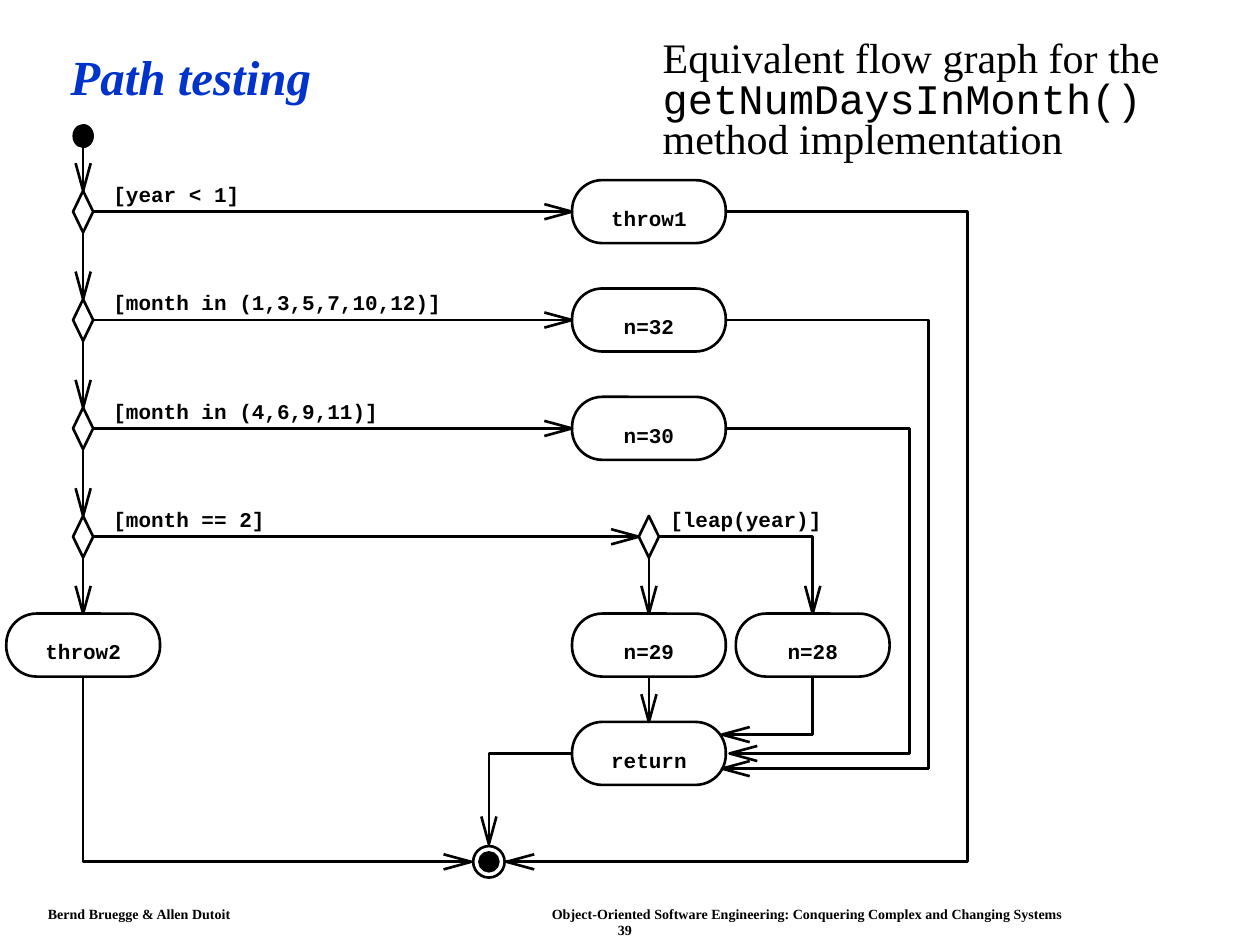
import math

import lxml.etree
import pptx
import pptx.dml.color
import pptx.enum.shapes
import pptx.enum.text
import pptx.oxml.ns
import pptx.util

Inches = pptx.util.Inches
Pt = pptx.util.Pt
MSO_SHAPE = pptx.enum.shapes.MSO_SHAPE
PP_ALIGN = pptx.enum.text.PP_ALIGN
MSO_ANCHOR = pptx.enum.text.MSO_ANCHOR

BLACK = pptx.dml.color.RGBColor(0x00, 0x00, 0x00)
WHITE = pptx.dml.color.RGBColor(0xFF, 0xFF, 0xFF)
TITLE_BLUE = pptx.dml.color.RGBColor(0x00, 0x33, 0xCC)
SERIF = "Times New Roman"
MONO = "Courier New"

TOP, LEFT, BOTTOM, RIGHT = range(4)
ROW_STEP = 0.86
NODE_SIZE = (1.22, 0.5)
DECISION_SIZE = (0.16, 0.33)
HEAD_LENGTH, HEAD_HALF_WIDTH = 0.22, 0.06


def style_font(font, name, size, color=BLACK, bold=False, italic=False):
    font.name, font.size, font.bold, font.italic = name, Pt(size), bold, italic
    font.color.rgb = color


def add_text(slide, box, text, *font, align=PP_ALIGN.LEFT, wrap=False, **style):
    """Add a one-paragraph text box without margins and return its frame."""
    frame = slide.shapes.add_textbox(*map(Inches, box)).text_frame
    frame.margin_left = frame.margin_right = 0
    frame.margin_top = frame.margin_bottom = 0
    frame.word_wrap = wrap
    paragraph = frame.paragraphs[0]
    paragraph.text, paragraph.alignment = text, align
    style_font(paragraph.font, *font, **style)
    return frame


def style_outline(shape, fill=None):
    shape.shadow.inherit = False
    shape.line.color.rgb, shape.line.width = BLACK, Pt(1.5)
    if fill is None:
        shape.fill.background()
    else:
        shape.fill.solid()
        shape.fill.fore_color.rgb = fill


def add_centred(slide, preset, x, y, size, fill=None):
    width, height = size
    shape = slide.shapes.add_shape(
        preset, Inches(x - width / 2), Inches(y - height / 2), Inches(width), Inches(height))
    style_outline(shape, fill)
    return shape


def add_node(slide, x, y, label):
    node = add_centred(slide, MSO_SHAPE.ROUNDED_RECTANGLE, x, y, NODE_SIZE)
    node.adjustments[0] = 0.48
    frame = node.text_frame
    frame.margin_left = frame.margin_right = frame.margin_bottom = 0
    frame.margin_top = Inches(0.1)
    frame.word_wrap = False
    frame.vertical_anchor = MSO_ANCHOR.MIDDLE
    paragraph = frame.paragraphs[0]
    paragraph.text, paragraph.alignment = label, PP_ALIGN.CENTER
    style_font(paragraph.font, MONO, 12, bold=True)
    return node


def add_decision(slide, x, y, guard, guard_offset):
    guard_width = 0.1 * len(guard) + 0.2
    add_text(slide, (x + guard_offset, y - 0.24, guard_width, 0.2),
             guard, MONO, 12, bold=True)
    return add_centred(slide, MSO_SHAPE.DIAMOND, x, y, DECISION_SIZE, WHITE)


def add_polyline(slide, points):
    start, *rest = [(Inches(x), Inches(y)) for x, y in points]
    builder = slide.shapes.build_freeform(*start)
    builder.add_line_segments(rest, close=False)
    style_outline(builder.convert_to_shape())


def add_head(slide, before, tip):
    """Draw the long open arrowhead of a line that runs from before to tip."""
    angle = math.atan2(tip[1] - before[1], tip[0] - before[0])
    along, across = math.cos(angle), math.sin(angle)
    barbs = [(tip[0] - HEAD_LENGTH * along - side * across,
              tip[1] - HEAD_LENGTH * across + side * along)
             for side in (-HEAD_HALF_WIDTH, HEAD_HALF_WIDTH)]
    add_polyline(slide, [barbs[0], tip, barbs[1]])


def add_route(slide, points):
    add_polyline(slide, points)
    add_head(slide, *points[-2:])


def link(slide, source, source_side, target, target_side):
    """Join two shapes with a straight arrow."""
    arrow = slide.shapes.add_connector(pptx.enum.shapes.MSO_CONNECTOR.STRAIGHT, 0, 0, 0, 0)
    arrow.begin_connect(source, source_side)
    arrow.end_connect(target, target_side)
    arrow.line.color.rgb, arrow.line.width = BLACK, Pt(1.5)
    properties = arrow.element.find(pptx.oxml.ns.qn("p:spPr"))
    lxml.etree.SubElement(properties, pptx.oxml.ns.qn("a:effectLst"))
    add_head(slide, (arrow.begin_x.inches, arrow.begin_y.inches),
             (arrow.end_x.inches, arrow.end_y.inches))


def draw_header(slide, box):
    left, top, width, height = box
    title = add_text(slide, (left, top, 4.3, 0.69), "Path testing", SERIF, 28,
                     color=TITLE_BLUE, bold=True, italic=True)
    title.vertical_anchor = MSO_ANCHOR.MIDDLE
    title.paragraphs[0].line_spacing = 0.9

    caption = add_text(slide, (left + 4.7, top + 0.04, width - 4.7, height - 0.04),
                       "Equivalent flow graph for the ", SERIF, 24, wrap=True)
    paragraph = caption.paragraphs[0]
    paragraph.line_spacing, paragraph.space_before = 0.8, Pt(9)
    for words, font in (("getNumDaysInMonth()", MONO), (" method implementation", SERIF)):
        run = paragraph.add_run()
        run.text, run.font.name = words, font


def draw_flow_graph(slide, box):
    left, top, width, height = box
    right = left + width
    spine, final, main, side = (left + offset for offset in (0.6, 3.82, 5.09, 6.39))
    rows = [top + 0.69 + ROW_STEP * step for step in range(7)]
    half_node, half_height = NODE_SIZE[0] / 2, NODE_SIZE[1] / 2

    guards = ("[year < 1]", "[month in (1,3,5,7,10,12)]",
              "[month in (4,6,9,11)]", "[month == 2]")
    decisions = [add_decision(slide, spine, y, guard, 0.24) for y, guard in zip(rows, guards)]
    leap = add_decision(slide, main, rows[3], "[leap(year)]", 0.17)
    outcomes = [add_node(slide, main, y, label)
                for y, label in zip(rows, ("throw1", "n=32", "n=30"))]
    throw2 = add_node(slide, spine, rows[4], "throw2")
    n29 = add_node(slide, main, rows[4], "n=29")
    add_node(slide, side, rows[4], "n=28")
    returned = add_node(slide, main, rows[5], "return")
    start = add_centred(slide, MSO_SHAPE.OVAL, spine, top + 0.09, (0.15, 0.17), BLACK)
    add_centred(slide, MSO_SHAPE.OVAL, final, rows[6], (0.25, 0.25))
    add_centred(slide, MSO_SHAPE.OVAL, final, rows[6], (0.15, 0.15), BLACK)

    for decision, target in zip(decisions, outcomes + [leap]):
        link(slide, decision, RIGHT, target, LEFT)
    chain = [start, *decisions, throw2]
    for upper, lower in [*zip(chain, chain[1:]), (leap, n29), (n29, returned)]:
        link(slide, upper, BOTTOM, lower, TOP)

    node_bottom = rows[4] + half_height
    node_right = main + half_node
    routes = (
        [(node_right, rows[0]), (right, rows[0]), (right, rows[6]), (final + 0.14, rows[6])],
        [(node_right, rows[1]), (right - 0.31, rows[1]),
         (right - 0.31, rows[5] + 0.12), (node_right - 0.03, rows[5] + 0.12)],
        [(node_right, rows[2]), (right - 0.46, rows[2]),
         (right - 0.46, rows[5]), (node_right + 0.03, rows[5])],
        [(side, node_bottom), (side, rows[5] - 0.15), (node_right - 0.03, rows[5] - 0.15)],
        [(main + 0.08, rows[3]), (side, rows[3]), (side, rows[4] - half_height)],
        [(spine, node_bottom), (spine, rows[6]), (final - 0.14, rows[6])],
        [(main - half_node, rows[5]), (final, rows[5]), (final, rows[6] - 0.14)],
    )
    for points in routes:
        add_route(slide, points)


def draw_footer(slide, box):
    left, top, width, height = box
    line = height / 2
    add_text(slide, (left, top, 1.7, line), "Bernd Bruegge & Allen Dutoit", SERIF, 8, bold=True)
    add_text(slide, (left + 4, top, width - 4, line),
             "Object-Oriented Software Engineering: Conquering Complex and Changing Systems",
             SERIF, 8, bold=True)
    add_text(slide, (left + 4.48, top + line, 0.2, line), "39", SERIF, 8,
             bold=True, align=PP_ALIGN.CENTER)


def main():
    deck = pptx.Presentation()
    deck.slide_width, deck.slide_height = Inches(10), Inches(7.5)
    slide = deck.slides.add_slide(deck.slide_layouts[6])
    draw_header(slide, (0.56, 0.29, 8.91, 1.04))
    draw_flow_graph(slide, (0.06, 0.99, 7.62, 5.96))
    draw_footer(slide, (0.38, 7.19, 8.3, 0.25))
    deck.save("out.pptx")


if __name__ == "__main__":
    main()
